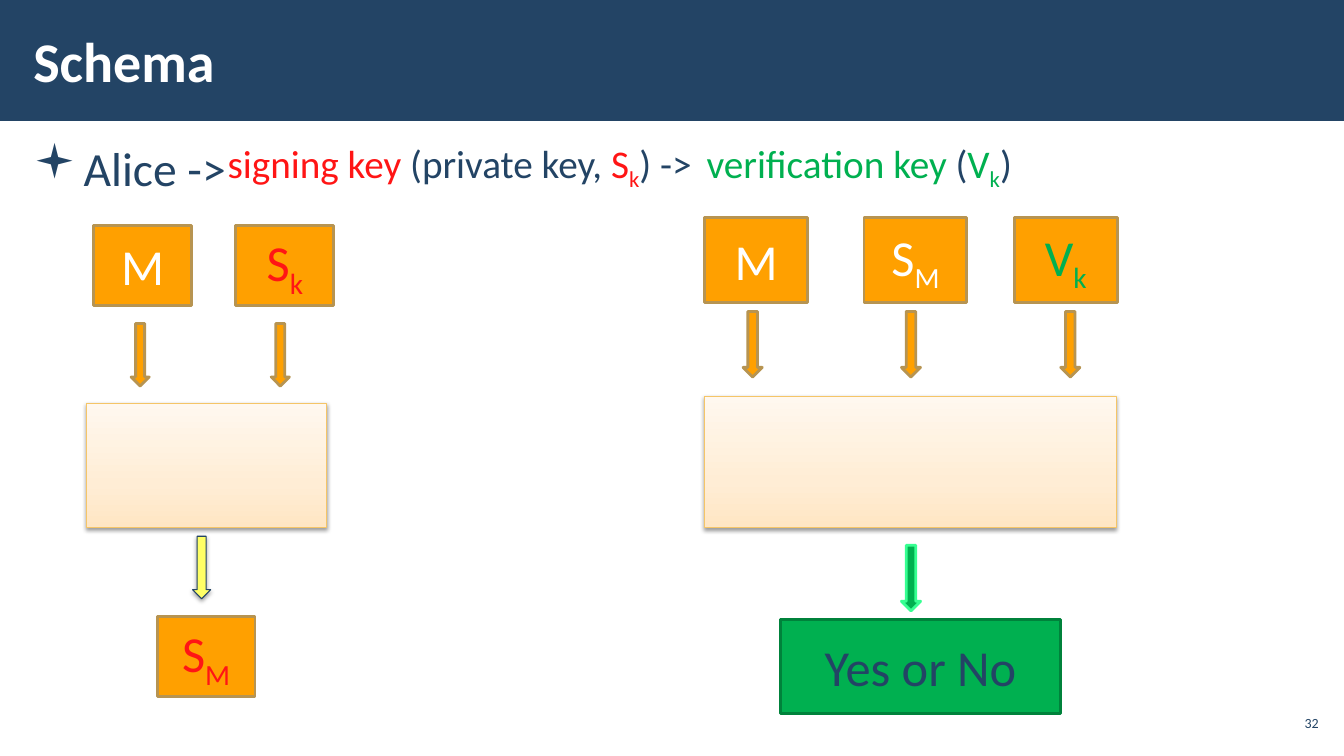
from copy import deepcopy
from dataclasses import dataclass

from lxml import etree
from pptx import Presentation
from pptx.dml.color import RGBColor
from pptx.enum.shapes import MSO_SHAPE
from pptx.enum.text import MSO_ANCHOR, PP_ALIGN
from pptx.oxml.ns import qn
from pptx.util import Inches, Pt

RECTANGLE, DOWN_ARROW = MSO_SHAPE.RECTANGLE, MSO_SHAPE.DOWN_ARROW
MIDDLE, TOP = MSO_ANCHOR.MIDDLE, MSO_ANCHOR.TOP
LEFT, CENTER, RIGHT = PP_ALIGN.LEFT, PP_ALIGN.CENTER, PP_ALIGN.RIGHT


@dataclass(frozen=True)
class Theme:
    font: str = "Calibri"
    navy: str = "234465"
    white: str = "FFFFFF"
    red: str = "FF1515"
    green: str = "00B050"
    green_edge: str = "00823B"
    green_glow: str = "37FF92"
    orange: str = "FFA000"
    orange_edge: str = "B79451"
    yellow: str = "FFFF66"
    cream_edge: str = "F5C567"
    cream: tuple = ((0, "FFE6C4"), (0.35, "FFEDD5"), (1, "FFF8EF"))
    title_size: int = 40
    label_size: int = 36
    bullet_size: int = 34
    key_size: int = 28
    number_size: int = 10


THEME = Theme()


def write(shape, spans, size, align=LEFT, anchor=MIDDLE, bold=False, wrap=True, insets=(0.1, 0.05)):
    """Fill a shape with spans of (text, colour) or (text, colour, is_subscript)."""
    frame = shape.text_frame
    frame.word_wrap = wrap
    frame.vertical_anchor = anchor
    frame.margin_left = frame.margin_right = Inches(insets[0])
    frame.margin_top = frame.margin_bottom = Inches(insets[1])
    para = frame.paragraphs[0]
    para.alignment = align
    for text, color, *subscript in spans:
        span = para.add_run()
        span.text = text
        span.font.name = THEME.font
        span.font.size = Pt(size)
        span.font.bold = bold
        span.font.color.rgb = RGBColor.from_string(color)
        if subscript:
            span.font._element.set("baseline", "-25000")
    return para


def add_text(page, box, spans, size, **formats):
    return write(page.shapes.add_textbox(*map(Inches, box)), spans, size, **formats)


def add_block(page, kind, box, fill, edge=None, width=2, shadow=False):
    """Add a preset shape; a tuple of stops as fill makes an upward gradient."""
    shape = page.shapes.add_shape(kind, *map(Inches, box))
    shape.shadow.inherit = False
    if isinstance(fill, tuple):
        shape.fill.gradient()
        shape.fill.gradient_angle = 90
        stops = shape.element.spPr.find(".//" + qn("a:gsLst"))
        stops.insert(1, deepcopy(stops[0]))
        for stop, (position, color) in zip(shape.fill.gradient_stops, fill):
            stop.position = position
            stop.color.rgb = RGBColor.from_string(color)
    else:
        shape.fill.solid()
        shape.fill.fore_color.rgb = RGBColor.from_string(fill)
    if edge:
        shape.line.color.rgb = RGBColor.from_string(edge)
        shape.line.width = Pt(width)
    else:
        shape.line.fill.background()
    if shadow:
        effects = shape.element.spPr.find(qn("a:effectLst"))
        outer = etree.SubElement(effects, qn("a:outerShdw"), blurRad=str(Pt(3.1)),
                                 dist=str(Pt(1.6)), dir="5400000", rotWithShape="0")
        black = etree.SubElement(outer, qn("a:srgbClr"), val="000000")
        etree.SubElement(black, qn("a:alpha"), val="38000")
    return shape


def add_label(page, box, spans, fill=THEME.orange, edge=THEME.orange_edge):
    shape = add_block(page, RECTANGLE, box, fill, edge)
    write(shape, spans, THEME.label_size, align=CENTER)


def add_machine(page, box):
    add_block(page, RECTANGLE, box, THEME.cream, THEME.cream_edge, 0.75, shadow=True)


def add_inputs(page, left, top, size, inputs, arrow):
    """Place labelled inputs, each with an arrow below, at offsets from the left."""
    drop, width, height = arrow
    for offset, arrow_offset, spans in inputs:
        add_label(page, (left + offset, top, *size), spans)
        add_block(page, DOWN_ARROW, (left + arrow_offset, top + drop, width, height),
                  THEME.orange, THEME.orange_edge)


def add_header(page, width, height):
    band = add_block(page, RECTANGLE, (0, 0, width, height), THEME.navy)
    title = page.shapes.title
    title.element.addprevious(band.element)
    title.left, title.top = Inches(0.21), Inches(0.11)
    title.width, title.height = Inches(10.39), Inches(0.97)
    write(title, [("Schema", THEME.white)], THEME.title_size, bold=True, insets=(0.12, 0.04))


def add_key_line(page, left, top):
    para = add_text(page, (left, top, 12.92, 0.75), [("Alice ->", THEME.navy)],
                    THEME.bullet_size, anchor=TOP, insets=(0.12, 0.04))
    para.line_spacing = 1.05
    para.space_before = para.space_after = Pt(6)
    properties = para._p.get_or_add_pPr()
    properties.set("marL", str(Inches(0.5)))
    properties.set("indent", str(Inches(-0.5)))
    etree.SubElement(properties, qn("a:buFont"), typeface="Wingdings")
    etree.SubElement(properties, qn("a:buChar"), char="▪")

    signing = [("signing key ", THEME.red), ("(private key, ", THEME.navy),
               ("S", THEME.red), ("k", THEME.red, True), (") ->", THEME.navy)]
    verification = [("verification key ", THEME.green), ("(", THEME.navy),
                    ("V", THEME.green), ("k", THEME.green, True), (")", THEME.navy)]
    for offset, width, spans in ((1.95, 4.87, signing), (6.7, 3.28, verification)):
        add_text(page, (left + offset, top + 0.02, width, 0.57), spans,
                 THEME.key_size, anchor=TOP, wrap=False)


def add_signing(page, left, top):
    size = (0.97, 0.79)
    inputs = [(0.07, 0.44, [("M", THEME.white)]),
              (1.48, 1.83, [("S", THEME.red), ("k", THEME.red, True)])]
    add_inputs(page, left, top, size, inputs, (0.97, 0.18, 0.62))
    add_machine(page, (left, top + 1.76, 2.38, 1.23))
    add_block(page, DOWN_ARROW, (left + 1.05, top + 3.08, 0.18, 0.62),
              THEME.yellow, THEME.navy, 0.75, shadow=True)
    add_label(page, (left + 0.7, top + 3.88, *size),
              [("S", THEME.red), ("M", THEME.red, True)])


def add_verification(page, left, top):
    inputs = [(0, 0.38, [("M", THEME.white)]),
              (1.58, 1.95, [("S", THEME.white), ("M", THEME.white, True)]),
              (3.07, 3.53, [("V", THEME.green), ("k", THEME.green, True)])]
    add_inputs(page, left, top, (1.02, 0.84), inputs, (0.93, 0.19, 0.65))
    add_machine(page, (left, top + 1.77, 4.08, 1.3))
    add_block(page, DOWN_ARROW, (left + 1.95, top + 3.25, 0.19, 0.65),
              THEME.green, THEME.green_glow)
    add_label(page, (left + 0.75, top + 3.99, 2.78, 0.93),
              [("Yes or No", THEME.navy)], THEME.green, THEME.green_edge)


def main():
    deck = Presentation()
    deck.slide_width, deck.slide_height = Inches(13.33), Inches(7.5)
    page = deck.slides.add_slide(deck.slide_layouts.get_by_name("Title Only"))
    add_header(page, 13.33, 1.2)
    add_key_line(page, 0.21, 1.31)
    add_signing(page, 0.86, 2.24)
    add_verification(page, 6.99, 2.16)
    add_text(page, (12.65, 7, 0.47, 0.34), [("32", THEME.navy)], THEME.number_size,
             align=RIGHT, insets=(0.04, 0.04))
    deck.save("out.pptx")


if __name__ == "__main__":
    main()
